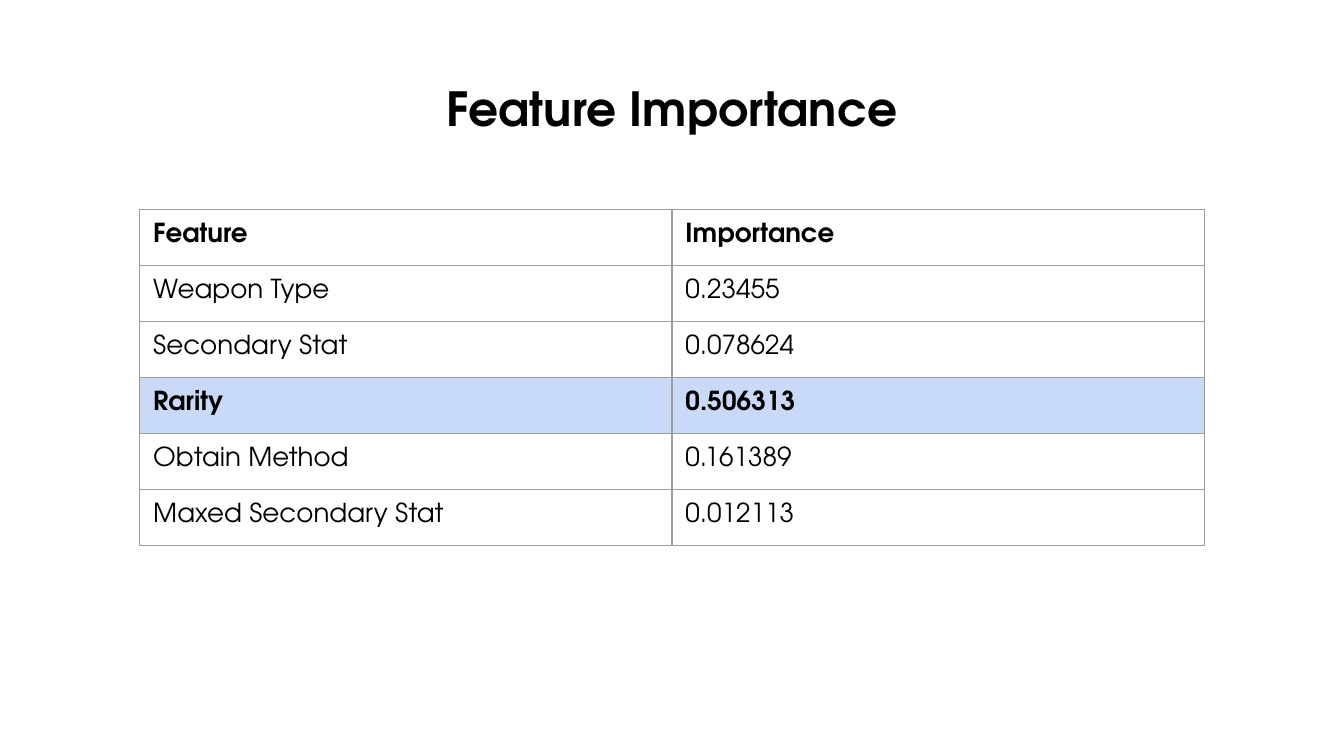
"""Build a slide with a table of feature importances."""
from dataclasses import dataclass

from lxml.etree import SubElement
from pptx import Presentation
from pptx.dml.color import RGBColor
from pptx.enum.text import MSO_ANCHOR, MSO_AUTO_SIZE, PP_ALIGN
from pptx.oxml.ns import qn
from pptx.slide import Slide
from pptx.table import _Cell
from pptx.text.text import TextFrame
from pptx.util import Inches, Pt

FONT = "TeX Gyre Adventor"
COLORS = {"background": "FFFFFF", "text": "000000", "border": "9E9E9E", "highlight": "C9DAF8"}
SLIDE_WIDTH = 10
SLIDE_HEIGHT = SLIDE_WIDTH * 9 / 16
COLUMN_WIDTH = 3.96
TABLE_HEIGHT = 2.5


@dataclass
class FeatureRow:
    feature: str
    importance: str
    bold: bool = False
    highlighted: bool = False


ROWS = [
    FeatureRow("Feature", "Importance", bold=True),
    FeatureRow("Weapon Type", "0.23455"),
    FeatureRow("Secondary Stat", "0.078624"),
    FeatureRow("Rarity", "0.506313", bold=True, highlighted=True),
    FeatureRow("Obtain Method", "0.161389"),
    FeatureRow("Maxed Secondary Stat", "0.012113"),
]


def write_text(frame: TextFrame, text: str, size: float, bold: bool, alignment: PP_ALIGN) -> None:
    frame.text = text
    paragraph = frame.paragraphs[0]
    paragraph.alignment = alignment
    paragraph.font.name = FONT
    paragraph.font.size = Pt(size)
    paragraph.font.bold = bold
    paragraph.font.color.rgb = RGBColor.from_string(COLORS["text"])


def add_borders(cell: _Cell) -> None:
    properties = cell._tc.get_or_add_tcPr()
    for side in ("a:lnL", "a:lnR", "a:lnT", "a:lnB"):
        line = SubElement(properties, qn(side), w=str(Pt(0.75)))
        fill = SubElement(line, qn("a:solidFill"))
        SubElement(fill, qn("a:srgbClr"), val=COLORS["border"])


def add_title(slide: Slide, text: str) -> None:
    title = slide.shapes.title
    title.left, title.top = Inches(0.34), Inches(0.49)
    title.width, title.height = Inches(9.32), Inches(0.63)
    frame = title.text_frame
    frame.margin_left = frame.margin_right = Inches(0.1)
    frame.margin_top = frame.margin_bottom = Inches(0.1)
    frame.vertical_anchor = MSO_ANCHOR.TOP
    frame.auto_size = MSO_AUTO_SIZE.NONE
    write_text(frame, text, 25.2, True, PP_ALIGN.CENTER)


def fill_cell(cell: _Cell, text: str, row: FeatureRow) -> None:
    cell.margin_left = cell.margin_right = Inches(0.1)
    cell.margin_top = cell.margin_bottom = Inches(0.1)
    cell.vertical_anchor = MSO_ANCHOR.TOP
    write_text(cell.text_frame, text, 14, row.bold, PP_ALIGN.LEFT)
    add_borders(cell)
    if row.highlighted:
        cell.fill.solid()
        cell.fill.fore_color.rgb = RGBColor.from_string(COLORS["highlight"])
    else:
        cell.fill.background()


def add_feature_table(slide: Slide, rows: list[FeatureRow]) -> None:
    table = slide.shapes.add_table(
        len(rows), 2, Inches(1.04), Inches(1.56),
        Inches(2 * COLUMN_WIDTH), Inches(TABLE_HEIGHT),
    ).table
    table.first_row = table.horz_banding = False
    for column in table.columns:
        column.width = Inches(COLUMN_WIDTH)
    for index, row in enumerate(rows):
        table.rows[index].height = Inches(TABLE_HEIGHT / len(rows))
        for column_index, text in enumerate((row.feature, row.importance)):
            fill_cell(table.cell(index, column_index), text, row)


def main() -> None:
    presentation = Presentation()
    presentation.slide_width = Inches(SLIDE_WIDTH)
    presentation.slide_height = Inches(SLIDE_HEIGHT)
    slide = presentation.slides.add_slide(presentation.slide_layouts[5])
    slide.background.fill.solid()
    slide.background.fill.fore_color.rgb = RGBColor.from_string(COLORS["background"])
    add_title(slide, "Feature Importance")
    add_feature_table(slide, ROWS)
    presentation.save("out.pptx")


if __name__ == "__main__":
    main()
